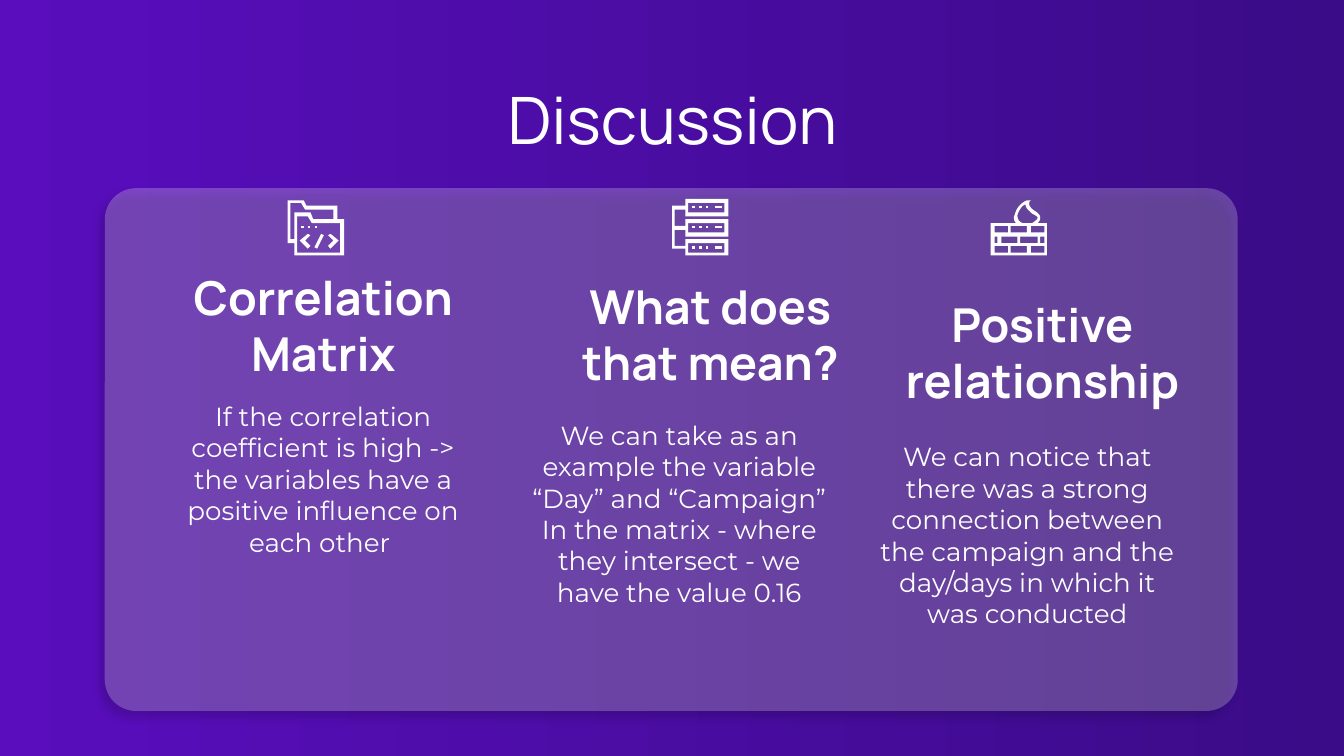
from itertools import product

from lxml.etree import SubElement
from pptx import Presentation
from pptx.dml.color import RGBColor
from pptx.enum.shapes import MSO_SHAPE
from pptx.enum.text import MSO_ANCHOR, PP_ALIGN
from pptx.oxml.ns import qn
from pptx.util import Inches, Pt

WHITE = "FFFFFF"
HEADING_FONT, BODY_FONT = "Manrope", "Montserrat"
COLUMN_WIDTH = 2.47

# heading, its left and top, body paragraphs, their left, top and height
COLUMNS = [
    ("Correlation Matrix", 1.17, 1.9,
     ["If the correlation coefficient is high -> the variables have a "
      "positive influence on each other "], 1.17, 2.88, 0.63),
    ("What does that mean?", 4.05, 1.97,
     ["We can take as an example the variable “Day” and “Campaign”",
      "In the matrix - where they intersect - we have the value 0.16"],
     3.82, 3.02, 1.89),
    ("Positive relationship", 6.52, 2.1,
     ["We can notice that there was a strong connection between the "
      "campaign and the day/days in which it was conducted"],
     6.41, 3.18, 1.73),
]


def color(value):
    return RGBColor.from_string(value)


def paint(shape, value):
    shape.shadow.inherit = False
    shape.fill.solid()
    shape.fill.fore_color.rgb = color(value)
    shape.line.fill.background()


def add_background(page):
    fill = page.background.fill
    fill.gradient()
    fill.gradient_angle = 0
    for stop, value in zip(fill.gradient_stops, ("590DBD", "3A0C87")):
        stop.color.rgb = color(value)


def add_panel(page):
    panel = page.shapes.add_shape(
        MSO_SHAPE.ROUNDED_RECTANGLE,
        Inches(0.78), Inches(1.4), Inches(8.43), Inches(3.89))
    panel.adjustments[0] = 0.06
    paint(panel, WHITE)
    properties = panel.element.spPr
    fill = properties.find(qn("a:solidFill"))
    SubElement(fill[0], qn("a:alpha"), val="23000")
    shadow = SubElement(
        properties.find(qn("a:effectLst")), qn("a:outerShdw"),
        blurRad=str(Pt(4.5)), dist=str(Pt(4.5)), dir=str(126 * 60000),
        algn="bl", rotWithShape="0")
    shade = SubElement(shadow, qn("a:srgbClr"), val="000000")
    SubElement(shade, qn("a:alpha"), val="65000")


def add_text(page, lines, left, top, width, height, font, size, bold=False):
    box = page.shapes.add_textbox(
        Inches(left), Inches(top), Inches(width), Inches(height))
    frame = box.text_frame
    frame.word_wrap = True
    frame.vertical_anchor = MSO_ANCHOR.TOP
    frame.margin_left = frame.margin_right = Inches(0.1)
    frame.margin_top = frame.margin_bottom = Inches(0.1)
    frame.text = "\n".join(lines)
    for para in frame.paragraphs:
        para.alignment = PP_ALIGN.CENTER
        for span in para.runs:
            span.font.name = font
            span.font.size = Pt(size)
            span.font.bold = bold
            span.font.color.rgb = color(WHITE)


def rectangle(left, top, right, bottom):
    return [(left, top), (left, bottom), (right, bottom), (right, top)]


def curve(start, first, second, end, steps=8):
    """Points along a cubic curve, without its start."""
    points = []
    for step in range(1, steps + 1):
        t = step / steps
        weights = ((1 - t) ** 3, 3 * t * (1 - t) ** 2,
                   3 * t * t * (1 - t), t ** 3)
        points.append(tuple(
            sum(w * p[axis] for w, p in zip(weights, (start, first, second, end)))
            for axis in (0, 1)))
    return points


def add_outline(parent, *contours):
    paths = [[(Inches(x), Inches(y)) for x, y in contour]
             for contour in contours]
    builder = parent.shapes.build_freeform(*paths[0][0], scale=1.0)
    for index, path in enumerate(paths):
        if index:
            builder.move_to(*path[0])
        builder.add_line_segments(path[1:], close=True)
    paint(builder.convert_to_shape(), WHITE)


def add_bar(parent, left, top, width=0.02):
    add_outline(parent, rectangle(left, top, left + width, top + 0.02))


def add_server_icon(page):
    icon = page.shapes.add_group_shape()
    rows = (1.48, 1.63, 1.78)
    for top, left in product(rows, (5.15, 5.2, 5.25)):
        add_bar(icon, left, top + 0.05)
    for top in rows:
        add_bar(icon, 5.32, top + 0.05, 0.05)
    windows = [rectangle(5.12, top + 0.03, 5.39, top + 0.1) for top in rows]
    frame = [
        (5.1, 1.48), (5.1, 1.53), (5, 1.53), (5, 1.85), (5.1, 1.85),
        (5.1, 1.9), (5.42, 1.9), (5.42, 1.78), (5.1, 1.78), (5.1, 1.83),
        (5.02, 1.83), (5.02, 1.71), (5.1, 1.71), (5.1, 1.76), (5.42, 1.76),
        (5.42, 1.63), (5.1, 1.63), (5.1, 1.68), (5.02, 1.68), (5.02, 1.56),
        (5.1, 1.56), (5.1, 1.61), (5.42, 1.61), (5.42, 1.48)]
    add_outline(icon, *windows, frame)


def add_folder_icon(page):
    icon = page.shapes.add_group_shape()
    for left in (2.24, 2.29, 2.34):
        add_bar(icon, left, 1.68)
    back = [(2.24, 1.51), (2.27, 1.56), (2.48, 1.56), (2.48, 1.63),
            (2.33, 1.63), (2.31, 1.58), (2.19, 1.58), (2.19, 1.78),
            (2.16, 1.78), (2.16, 1.51)]
    front = [(2.29, 1.61), (2.32, 1.66), (2.53, 1.66), (2.53, 1.88),
             (2.21, 1.88), (2.21, 1.61)]
    edge = [(2.14, 1.49), (2.14, 1.81), (2.19, 1.81), (2.19, 1.9),
            (2.56, 1.9), (2.56, 1.63), (2.51, 1.63), (2.51, 1.53),
            (2.28, 1.53), (2.26, 1.49)]
    add_outline(icon, back, front, edge)
    # code brackets mirror each other around the slash
    bracket = [(2.29, 1.74), (2.23, 1.79), (2.29, 1.85), (2.31, 1.83),
               (2.27, 1.79), (2.31, 1.75)]
    add_outline(icon, bracket)
    add_outline(icon, [(4.75 - x, y) for x, y in bracket])
    add_outline(icon, [(2.39, 1.74), (2.34, 1.84), (2.36, 1.85), (2.41, 1.75)])


def add_firewall_icon(page):
    outer_row = [(7.4, 7.5), (7.52, 7.64), (7.67, 7.77)]
    middle_row = [(7.4, 7.42), (7.45, 7.57), (7.59, 7.72), (7.74, 7.77)]
    bricks = [rectangle(left, top, right, top + 0.05)
              for top, row in ((1.68, outer_row), (1.76, middle_row),
                               (1.83, outer_row))
              for left, right in row]
    flame = [
        (7.63, 1.52),
        *curve((7.63, 1.52), (7.63, 1.55), (7.66, 1.57), (7.68, 1.59)),
        *curve((7.68, 1.59), (7.7, 1.6), (7.72, 1.61), (7.72, 1.62)),
        *curve((7.72, 1.62), (7.72, 1.63), (7.71, 1.64), (7.68, 1.66)),
        (7.61, 1.66),
        *curve((7.61, 1.66), (7.58, 1.65), (7.57, 1.63), (7.57, 1.6)),
        *curve((7.57, 1.6), (7.58, 1.57), (7.6, 1.53), (7.63, 1.52))]
    edge = [
        (7.65, 1.49),
        *curve((7.65, 1.49), (7.62, 1.49), (7.56, 1.54), (7.55, 1.6)),
        *curve((7.55, 1.6), (7.54, 1.61), (7.54, 1.64), (7.56, 1.66)),
        (7.37, 1.66), (7.37, 1.9), (7.79, 1.9), (7.79, 1.66), (7.72, 1.66),
        *curve((7.72, 1.66), (7.74, 1.64), (7.74, 1.63), (7.74, 1.62)),
        *curve((7.74, 1.62), (7.74, 1.6), (7.72, 1.58), (7.7, 1.57)),
        *curve((7.7, 1.57), (7.67, 1.55), (7.65, 1.53), (7.66, 1.5)),
        (7.67, 1.49)]
    add_outline(page, flame, *bricks, edge)


def main():
    # Widescreen slide, 16 to 9
    deck = Presentation()
    deck.slide_width = Inches(10)
    deck.slide_height = Inches(10 * 9 / 16)
    page = deck.slides.add_slide(deck.slide_layouts[6])
    add_background(page)
    add_panel(page)

    # Title and text columns
    add_text(page, ["Discussion"], 0.79, 0.49, 8.43, 0.63, HEADING_FONT, 35)
    for heading, left, top, body, body_left, body_top, body_height in COLUMNS:
        add_text(page, [heading], left, top, COLUMN_WIDTH, 0.58,
                 HEADING_FONT, 25, bold=True)
        add_text(page, body, body_left, body_top, COLUMN_WIDTH, body_height,
                 BODY_FONT, 14)

    # Icons
    add_server_icon(page)
    add_folder_icon(page)
    add_firewall_icon(page)
    deck.save("out.pptx")


if __name__ == "__main__":
    main()
